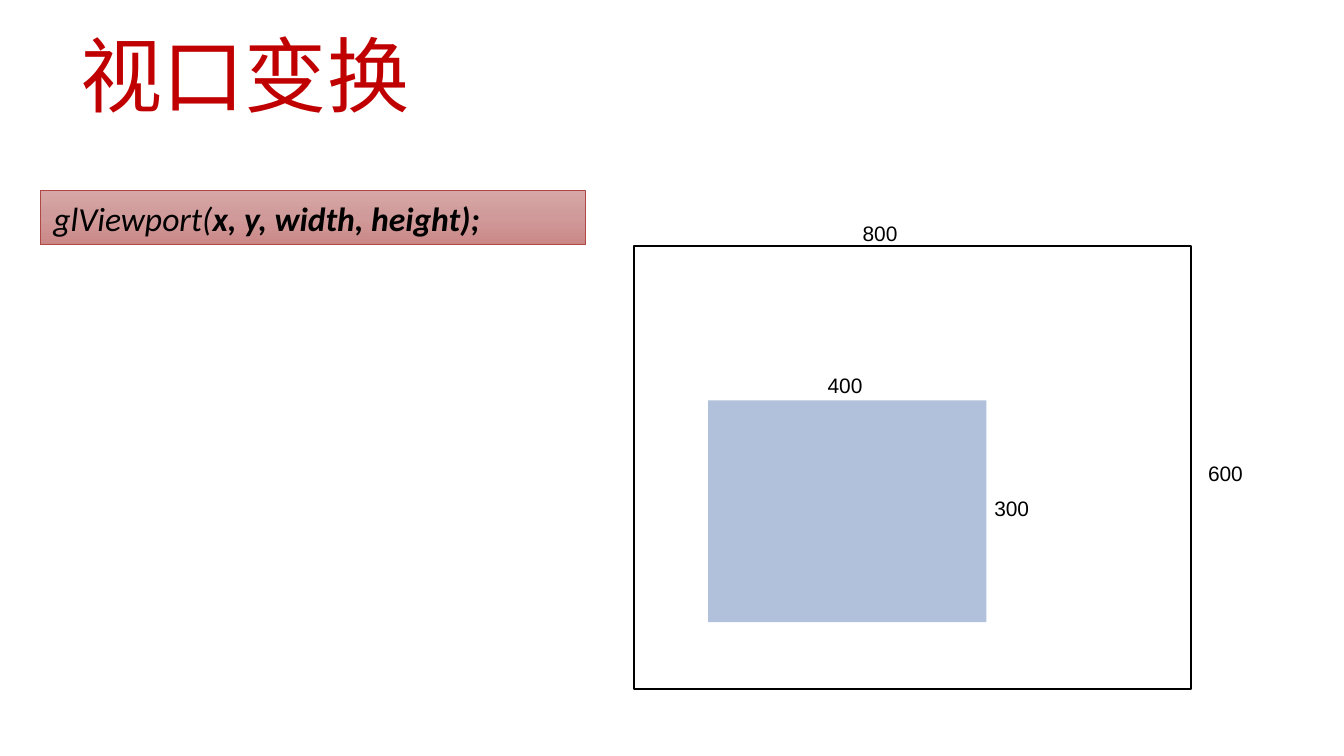
from copy import deepcopy

from lxml import etree
from pptx import Presentation
from pptx.dml.color import RGBColor
from pptx.enum import shapes, text
from pptx.oxml.ns import qn
from pptx.util import Inches, Pt


def color(value):
    return RGBColor.from_string(value)


def add_span(para, words, font, size, ink="000000", bold=False, italic=False):
    span = para.add_run()
    span.text = words
    span.font.name = font
    span.font.size = Pt(size)
    span.font.color.rgb = color(ink)
    span.font.bold = bold
    span.font.italic = italic
    return span


def add_rectangle(parent, left, top, width, height):
    box = parent.shapes.add_shape(
        shapes.MSO_SHAPE.RECTANGLE,
        Inches(left), Inches(top), Inches(width), Inches(height))
    box.shadow.inherit = False
    return box


def fill_downward(box, stops):
    """Fill with a top-to-bottom gradient of three (position, colour) stops."""
    box.fill.gradient()
    box.fill.gradient_angle = 270
    first = box._element.spPr.find(qn("a:gradFill")).find(qn("a:gsLst"))[0]
    first.addnext(deepcopy(first))
    for stop, (position, value) in zip(box.fill.gradient_stops, stops):
        stop.position = position
        stop.color.rgb = color(value)


def place_title(page, left, top, width, height):
    title = page.shapes.title
    title.left, title.top = Inches(left), Inches(top)
    title.width, title.height = Inches(width), Inches(height)
    frame = title.text_frame
    frame.word_wrap = True
    frame.auto_size = text.MSO_AUTO_SIZE.NONE
    frame.vertical_anchor = text.MSO_ANCHOR.MIDDLE
    frame.margin_top = Inches(0.09)
    para = frame.paragraphs[0]
    para.alignment = text.PP_ALIGN.LEFT
    font = "Noto Sans CJK SC"
    span = add_span(para, "视口变换", font, 44, "C00000")
    etree.SubElement(span._r.get_or_add_rPr(), qn("a:ea"), typeface=font)


def add_call(page, left, top, width, height):
    box = add_rectangle(page, left, top, width, height)
    fill_downward(box, [(0, "D6A7A6"), (0.5, "CF9A99"), (1, "CB8786")])
    box.line.color.rgb = color("AE4845")
    box.line.width = Pt(0.5)
    frame = box.text_frame
    frame.word_wrap = True
    frame.auto_size = text.MSO_AUTO_SIZE.SHAPE_TO_FIT_TEXT
    frame.vertical_anchor = text.MSO_ANCHOR.TOP
    para = frame.paragraphs[0]
    para.alignment = text.PP_ALIGN.LEFT
    add_span(para, "glViewport(", "Calibri", 18, italic=True)
    add_span(para, "x, y, width, height);", "Calibri", 18, bold=True, italic=True)


def add_size_label(page, words, left, top):
    label = page.shapes.add_textbox(
        Inches(left), Inches(top), Inches(0.49), Inches(0.31))
    label.text_frame.word_wrap = False
    add_span(label.text_frame.paragraphs[0], words, "Arial", 11.2)


def add_viewport_diagram(page, left, top, width, height):
    """Draw a window with a half-size viewport inside, and label both."""
    group = page.shapes.add_group_shape()
    window = add_rectangle(group, left, top, width, height)
    window.fill.solid()
    window.fill.fore_color.rgb = color("FFFFFF")
    window.line.color.rgb = color("000000")
    window.line.width = Pt(1)

    viewport = add_rectangle(group, left + 0.55, top + 1.15, width / 2, height / 2)
    viewport.fill.solid()
    viewport.fill.fore_color.rgb = color("B2C1DB")
    viewport.line.fill.background()

    for words, across, down in [("800", 1.6, -0.24), ("600", 4.17, 1.55),
                                ("400", 1.34, 0.89), ("300", 2.58, 1.81)]:
        add_size_label(page, words, left + across, top + down)


def main():
    deck = Presentation()
    deck.slide_width = Inches(10)
    deck.slide_height = deck.slide_width * 9 // 16
    page = deck.slides.add_slide(deck.slide_layouts.get_by_name("Title Only"))
    place_title(page, 0.5, 0.14, 9, 0.78)
    add_call(page, 0.3, 1.42, 4.06, 0.4)
    add_viewport_diagram(page, 4.72, 1.83, 4.14, 3.3)
    deck.save("out.pptx")


if __name__ == "__main__":
    main()
